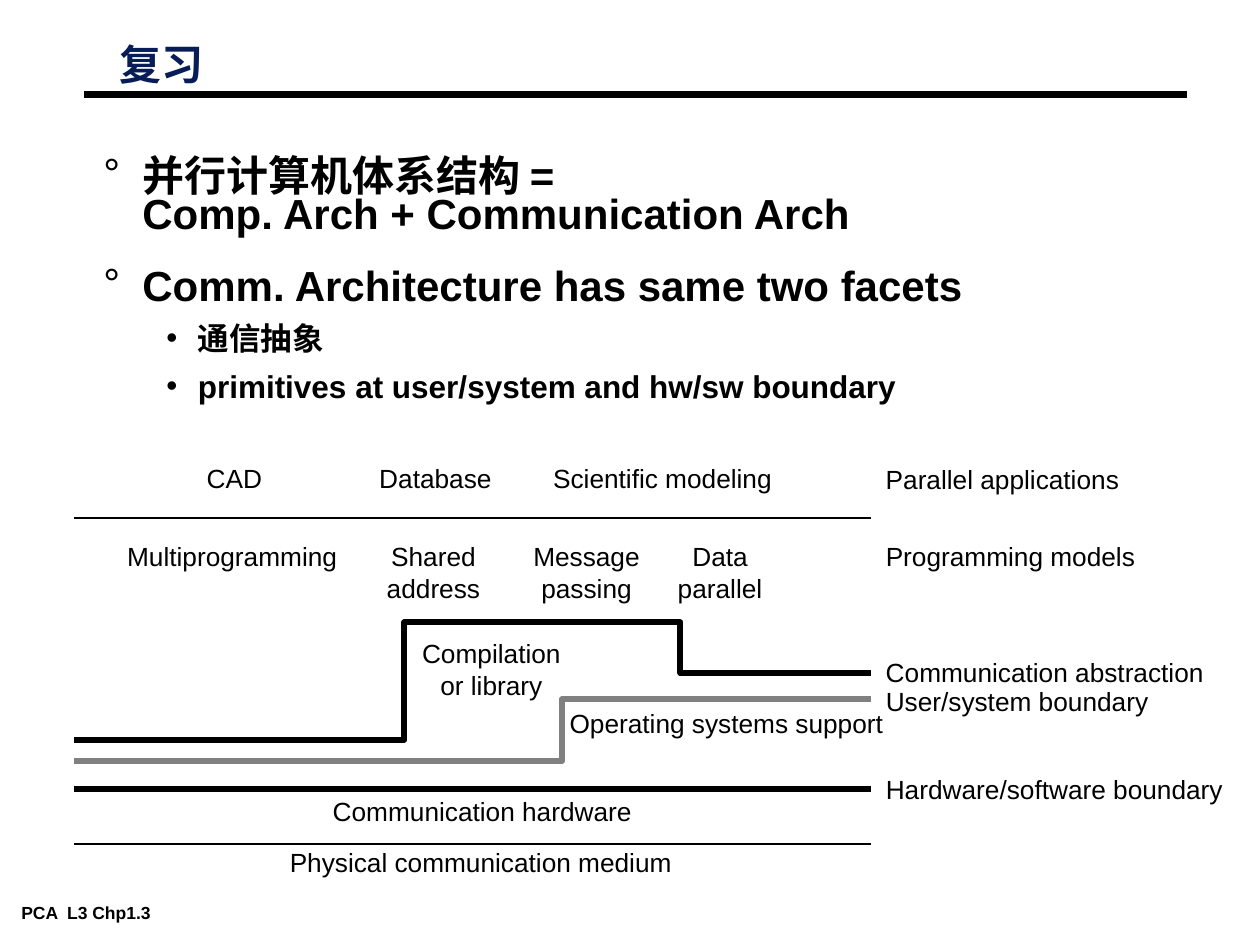
"""Build a review slide on the layers of parallel computer architecture."""
from dataclasses import dataclass

from lxml import etree
from pptx import Presentation
from pptx.dml.color import RGBColor
from pptx.enum.shapes import MSO_CONNECTOR
from pptx.enum.text import MSO_ANCHOR, MSO_AUTO_SIZE, PP_ALIGN
from pptx.oxml.ns import qn
from pptx.util import Inches, Pt

STRAIGHT = MSO_CONNECTOR.STRAIGHT
TOP = MSO_ANCHOR.TOP
NO_AUTOSIZE = MSO_AUTO_SIZE.NONE
LEFT, CENTER = PP_ALIGN.LEFT, PP_ALIGN.CENTER


@dataclass(frozen=True)
class Theme:
    """Colours, font and type sizes of the slide."""
    font: str = "Arial"
    ink: RGBColor = RGBColor(0, 0, 0)
    title: RGBColor = RGBColor(0x08, 0x1D, 0x58)
    system: RGBColor = RGBColor(0x80, 0x80, 0x80)
    heading_size: float = 24
    detail_size: float = 18
    label_size: float = 15
    footer_size: float = 10
    thin: float = 0.88
    thick: float = 3.5
    rule: float = 4.5


@dataclass(frozen=True)
class BulletStyle:
    """Look of one outline level."""
    character: str
    margin: float
    hanging: float
    size: float
    line_spacing: float
    space_before: float


@dataclass(frozen=True)
class Bullet:
    """One outline entry, given as its lines."""
    level: int
    lines: tuple[str, ...]


@dataclass(frozen=True)
class Label:
    """Text of one or more lines in the layer diagram."""
    left: float
    top: float
    width: float
    lines: tuple[str, ...]


@dataclass(frozen=True)
class Rule:
    """Horizontal line."""
    left: float
    right: float
    y: float
    weight: float


@dataclass(frozen=True)
class Boundary:
    """Stepped line between two layers."""
    points: tuple[tuple[float, float], ...]
    color: RGBColor


THEME = Theme()
DIAGRAM_LEFT, DIAGRAM_RIGHT, CAPTION_LEFT = 0.59, 6.91, 7.03
LINE_HEIGHT = 0.25
APPLICATIONS_TOP, MODELS_TOP = 3.67, 4.29

STYLES = (
    BulletStyle("°", 0.31, 0.31, THEME.heading_size, 0.75, 19.5),
    BulletStyle("•", 0.75, 0.25, THEME.detail_size, 0.85, 9),
)
BULLETS = (
    Bullet(0, ("并行计算机体系结构 =", "Comp. Arch + Communication Arch")),
    Bullet(0, ("Comm. Architecture has same two facets",)),
    Bullet(1, ("通信抽象",)),
    Bullet(1, ("primitives at user/system and hw/sw boundary",)),
)
LABELS = (
    Label(1.64, APPLICATIONS_TOP, 0.44, ("CAD",)),
    Label(3.01, APPLICATIONS_TOP, 0.89, ("Database",)),
    Label(4.39, APPLICATIONS_TOP, 1.74, ("Scientific modeling",)),
    Label(1.01, MODELS_TOP, 1.64, ("Multiprogramming",)),
    Label(3.08, MODELS_TOP, 0.72, ("Shared", "address")),
    Label(4.23, MODELS_TOP, 0.85, ("Message", "passing")),
    Label(5.38, MODELS_TOP, 0.67, ("Data", "parallel")),
    Label(3.35, 5.06, 1.1, ("Compilation", "or library")),
    Label(4.52, 5.61, 2.49, ("Operating systems support",)),
    Label(2.64, 6.31, 2.31, ("Communication hardware",)),
    Label(2.3, 6.72, 3.03, ("Physical communication medium",)),
    Label(CAPTION_LEFT, 3.68, 1.86, ("Parallel applications",)),
    Label(CAPTION_LEFT, MODELS_TOP, 1.98, ("Programming models",)),
    Label(CAPTION_LEFT, 5.21, 2.53, ("Communication abstraction",)),
    Label(CAPTION_LEFT, 5.44, 2.09, ("User/system boundary",)),
    Label(CAPTION_LEFT, 6.14, 2.62, ("Hardware/software boundary",)),
)
RULES = (
    Rule(0.67, 9.42, 0.75, THEME.rule),
    Rule(DIAGRAM_LEFT, DIAGRAM_RIGHT, 4.11, THEME.thin),
    Rule(DIAGRAM_LEFT, DIAGRAM_RIGHT, 6.26, THEME.thick),
    Rule(DIAGRAM_LEFT, DIAGRAM_RIGHT, 6.7, THEME.thin),
)
BOUNDARIES = (
    Boundary(((DIAGRAM_RIGHT, 5.34), (5.4, 5.34), (5.4, 4.94), (3.21, 4.94),
              (3.21, 5.87), (DIAGRAM_LEFT, 5.87)), THEME.ink),
    Boundary(((DIAGRAM_RIGHT, 5.55), (4.46, 5.55), (4.46, 6.04),
              (DIAGRAM_LEFT, 6.04)), THEME.system),
)


def place(shape, left: float, top: float, width: float, height: float) -> None:
    """Move and size a shape in inches."""
    shape.left, shape.top = Inches(left), Inches(top)
    shape.width, shape.height = Inches(width), Inches(height)


def set_frame(frame, side: float, end: float, wrap: bool) -> None:
    """Set margins, wrapping and anchoring of a text frame."""
    frame.auto_size = NO_AUTOSIZE
    frame.word_wrap = wrap
    frame.vertical_anchor = TOP
    frame.margin_left = frame.margin_right = Inches(side)
    frame.margin_top = frame.margin_bottom = Inches(end)


def add_run(paragraph, text: str, size: float, bold: bool = False,
            color: RGBColor = THEME.ink) -> None:
    """Add one formatted run."""
    run = paragraph.add_run()
    run.text = text
    run.font.name, run.font.size, run.font.bold = THEME.font, Pt(size), bold
    run.font.color.rgb = color


def set_bullet(paragraph, style: BulletStyle) -> None:
    """Give a paragraph its bullet and hanging indent."""
    properties = paragraph._p.get_or_add_pPr()
    properties.set("marL", str(Inches(style.margin)))
    properties.set("indent", str(-Inches(style.hanging)))
    color = etree.SubElement(properties, qn("a:buClr"))
    etree.SubElement(color, qn("a:srgbClr"), val=str(THEME.ink))
    etree.SubElement(properties, qn("a:buFont"), typeface=THEME.font)
    etree.SubElement(properties, qn("a:buChar"), char=style.character)


def fill_title(title) -> None:
    """Write the slide title."""
    place(title, 0.88, 0.33, 0.81, 0.4)
    set_frame(title.text_frame, 0.07, 0.03, False)
    paragraph = title.text_frame.paragraphs[0]
    paragraph.alignment = LEFT
    paragraph.line_spacing = 0.87
    add_run(paragraph, "复习", THEME.heading_size, True, THEME.title)


def fill_body(body) -> None:
    """Write the outline."""
    place(body, 0.75, 1.25, 8.58, 1.99)
    frame = body.text_frame
    set_frame(frame, 0.07, 0.03, True)
    for index, bullet in enumerate(BULLETS):
        style = STYLES[bullet.level]
        paragraph = frame.add_paragraph() if index else frame.paragraphs[0]
        paragraph.level = bullet.level
        set_bullet(paragraph, style)
        paragraph.line_spacing = style.line_spacing
        paragraph.space_before = Pt(style.space_before if index else 0)
        for line_index, line in enumerate(bullet.lines):
            if line_index:
                paragraph.add_line_break()
            add_run(paragraph, line, style.size, True)


def add_label(slide, label: Label) -> None:
    """Draw a diagram label, centring stacked lines."""
    box = slide.shapes.add_textbox(0, 0, 0, 0)
    place(box, label.left, label.top, label.width, LINE_HEIGHT * len(label.lines))
    frame = box.text_frame
    set_frame(frame, 0, 0, False)
    for index, line in enumerate(label.lines):
        paragraph = frame.add_paragraph() if index else frame.paragraphs[0]
        paragraph.alignment = CENTER if len(label.lines) > 1 else LEFT
        add_run(paragraph, line, THEME.label_size)


def add_rule(slide, rule: Rule) -> None:
    """Draw a horizontal line."""
    y = Inches(rule.y)
    line = slide.shapes.add_connector(STRAIGHT, Inches(rule.left), y, Inches(rule.right), y)
    line.line.color.rgb, line.line.width = THEME.ink, Pt(rule.weight)
    etree.SubElement(line._element.spPr, qn("a:effectLst"))


def add_boundary(slide, boundary: Boundary) -> None:
    """Draw a stepped open line."""
    start, *steps = [(Inches(x), Inches(y)) for x, y in boundary.points]
    builder = slide.shapes.build_freeform(*start)
    builder.add_line_segments(steps, close=False)
    shape = builder.convert_to_shape()
    shape.shadow.inherit = False
    shape.fill.background()
    shape.line.color.rgb, shape.line.width = boundary.color, Pt(THEME.thick)


def add_footer(slide) -> None:
    """Write the lecture reference."""
    box = slide.shapes.add_textbox(0, 0, 0, 0)
    place(box, 0.1, 7.13, 1.76, 0.22)
    set_frame(box.text_frame, 0.07, 0.03, False)
    add_run(box.text_frame.paragraphs[0], "PCA  L3 Chp1.3", THEME.footer_size, True)


def main() -> None:
    """Build and save the slide."""
    presentation = Presentation()
    presentation.slide_width, presentation.slide_height = Inches(10), Inches(7.5)
    slide = presentation.slides.add_slide(presentation.slide_layouts[1])
    fill_title(slide.shapes.title)
    fill_body(slide.placeholders[1])
    for label in LABELS:
        add_label(slide, label)
    for rule in RULES:
        add_rule(slide, rule)
    for boundary in BOUNDARIES:
        add_boundary(slide, boundary)
    add_footer(slide)
    presentation.save("out.pptx")


if __name__ == "__main__":
    main()
